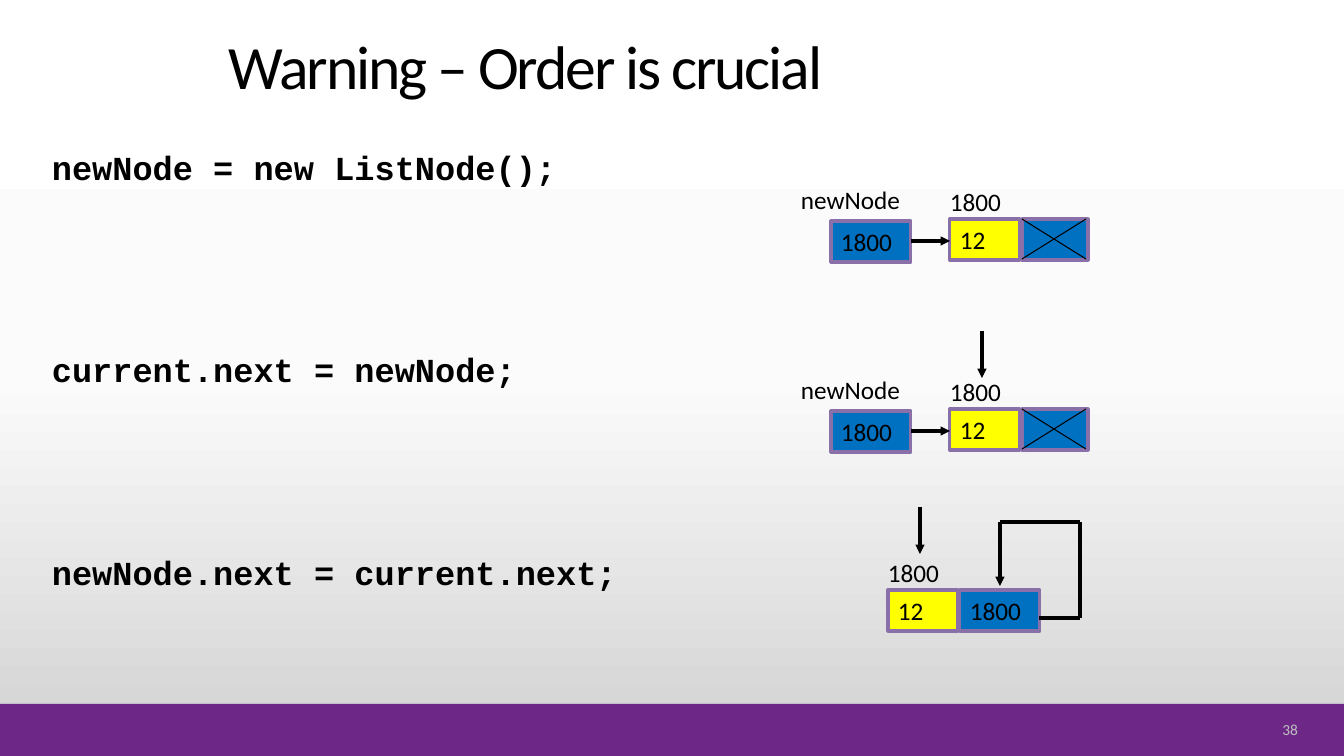
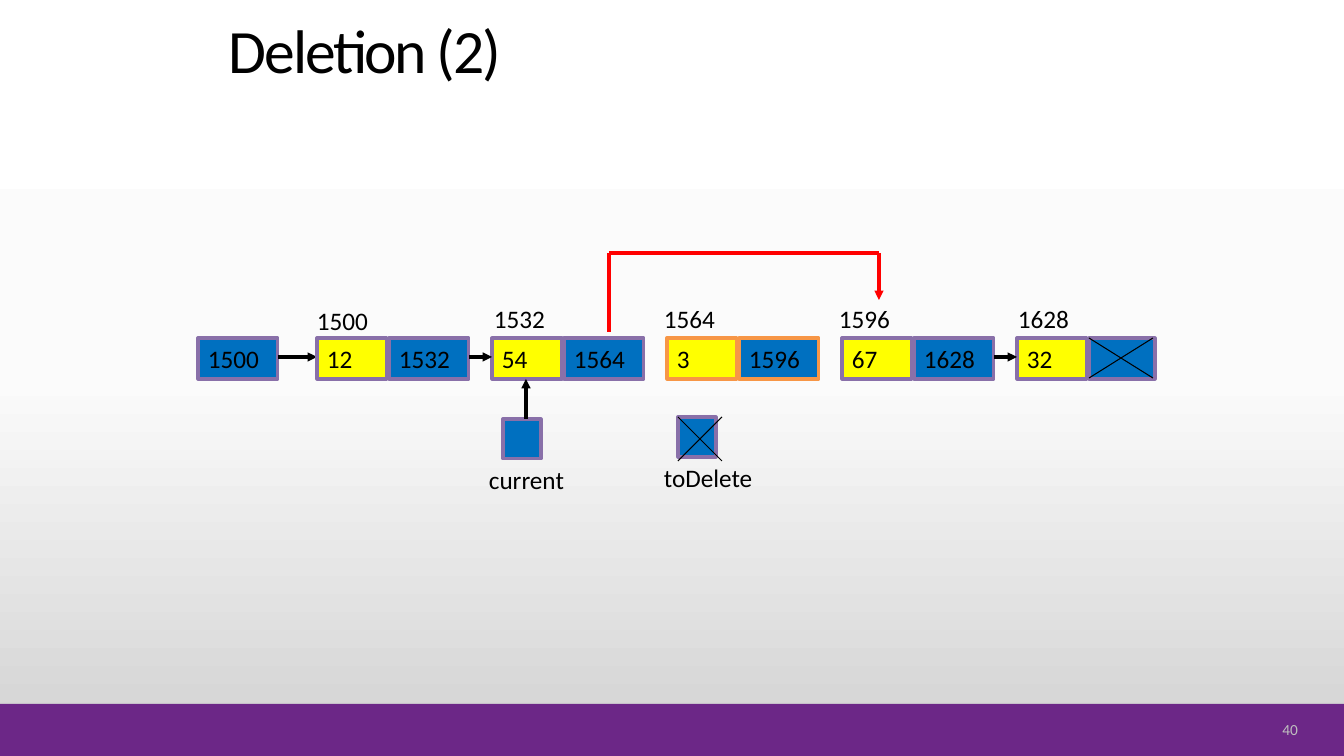
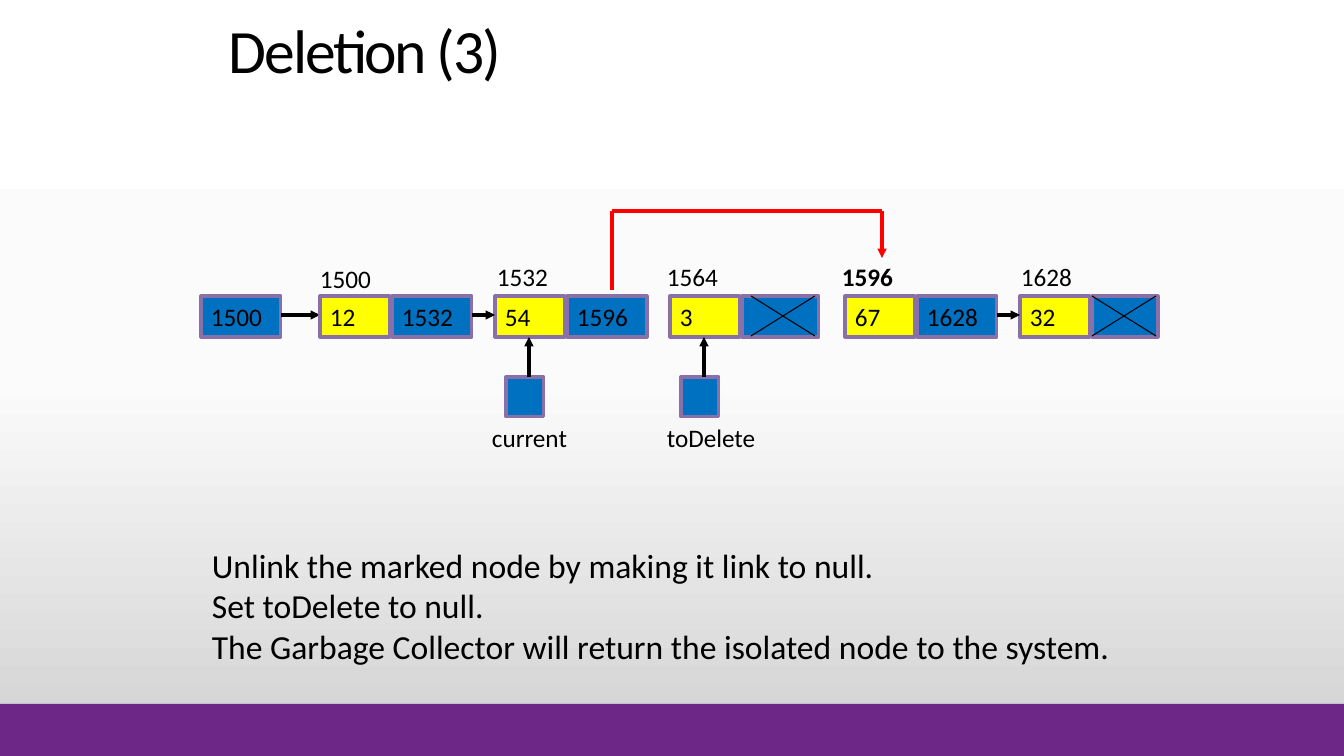
import dataclasses
import itertools
from typing import Optional

import pptx
import pptx.dml.color
import pptx.enum.shapes
import pptx.enum.text
import pptx.oxml
import pptx.oxml.ns
import pptx.util

SHAPE = pptx.enum.shapes.MSO_SHAPE
ANCHOR = pptx.enum.text.MSO_ANCHOR
ALIGN = pptx.enum.text.PP_ALIGN
PX = 914400 / 100.8


@dataclasses.dataclass(frozen=True)
class Theme:
    band: str = "6C2787"
    ink: str = "000000"
    page_ink: str = "BFBFBF"
    data: str = "FFFF00"
    link: str = "0070C0"
    edge: str = "8970A9"
    marked_edge: str = "F79646"
    relink: str = "FF0000"
    background: tuple = ((0, "FFFFFF"), (50, "FBFBFB"), (100, "D1D1D1"))
    font: str = "Calibri"
    code_font: str = "Courier New"
    title_size: int = 44
    body_size: int = 24
    cell_size: int = 18
    page_size: int = 11
    thick: float = 2.25
    thin: float = 0.75


THEME = Theme()


@dataclasses.dataclass(frozen=True)
class Node:
    """A list node; no link means null, drawn as a cross."""
    address: str
    value: str
    link: Optional[str] = None
    label_dx: int = -10
    label_dy: int = -38
    edge: str = THEME.edge
    bold: bool = False
    link_width: int = 80
    cross_dx: int = 0


LINK_DX = 72
CELL_HEIGHT = 41
NULL_WIDTH = 66


def px(*lengths):
    return [pptx.util.Emu(round(length * PX)) for length in lengths]


def rgb(value):
    return pptx.dml.color.RGBColor.from_string(value)


def write(frame, text, size, font=THEME.font, color=THEME.ink, bold=False,
          align=ALIGN.LEFT, anchor=ANCHOR.TOP):
    frame.text = text
    frame.word_wrap = True
    frame.vertical_anchor = anchor
    for paragraph in frame.paragraphs:
        paragraph.alignment = align
        for run in paragraph.runs:
            run.font.name = font
            run.font.size = pptx.util.Pt(size)
            run.font.bold = bold
            run.font.color.rgb = rgb(color)


def add_text(slide, box, text, size, **style):
    frame = slide.shapes.add_textbox(*px(*box)).text_frame
    write(frame, text, size, **style)
    return frame


def add_rect(slide, box, fill, edge=None):
    rect = slide.shapes.add_shape(SHAPE.RECTANGLE, *px(*box))
    rect.shadow.inherit = False
    rect.fill.solid()
    rect.fill.fore_color.rgb = rgb(fill)
    if edge:
        rect.line.color.rgb = rgb(edge)
        rect.line.width = pptx.util.Pt(THEME.thick)
    else:
        rect.line.fill.background()
    return rect


def add_cell(slide, box, fill, text=None, edge=THEME.edge):
    cell = add_rect(slide, box, fill, edge)
    if text:
        write(cell.text_frame, text, THEME.cell_size)


def add_line(slide, start, end, color=THEME.ink, width=THEME.thick, arrow=False):
    line = slide.shapes.add_connector(
        pptx.enum.shapes.MSO_CONNECTOR.STRAIGHT, *px(*start, *end))
    line.line.color.rgb = rgb(color)
    line.line.width = pptx.util.Pt(width)
    properties = line.element.spPr
    if arrow:
        tail = pptx.oxml.parse_xml(
            '<a:tailEnd %s type="triangle"/>' % pptx.oxml.ns.nsdecls("a"))
        properties.find(pptx.oxml.ns.qn("a:ln")).append(tail)
    properties.append(pptx.oxml.parse_xml(
        "<a:effectLst %s/>" % pptx.oxml.ns.nsdecls("a")))


def add_route(slide, points, color=THEME.ink):
    """Straight legs through the points, with an arrowhead at the last."""
    for start, end in itertools.pairwise(points):
        add_line(slide, start, end, color, arrow=end == points[-1])


def add_cross(slide, x, y, width, height):
    for top, bottom in ((y, y + height), (y + height, y)):
        add_line(slide, (x, top), (x + width, bottom), width=THEME.thin)


def add_node(slide, x, y, node):
    add_cell(slide, (x, y, 70, CELL_HEIGHT), THEME.data, node.value, node.edge)
    link_x = x + LINK_DX
    add_cell(slide, (link_x, y, node.link_width, CELL_HEIGHT), THEME.link,
             node.link, node.edge)
    if node.link is None:
        add_cross(slide, link_x + node.cross_dx, y, 64, 40)
    add_text(slide, (x + node.label_dx, y + node.label_dy, 74, CELL_HEIGHT),
             node.address, THEME.cell_size, bold=node.bold)


def add_new_node(slide, x, y):
    """The newNode variable with its arrow to a fresh node."""
    add_text(slide, (x - 40, y - 42, 121, CELL_HEIGHT), "newNode", THEME.cell_size)
    add_cell(slide, (x, y, 80, CELL_HEIGHT), THEME.link, "1800")
    add_node(slide, x + 119, y - 2, Node("1800", "12", link_width=NULL_WIDTH))
    add_line(slide, (x + 80, y + 20), (x + 119, y + 20), arrow=True)


def add_pointer(slide, x, y, name, crossed=False):
    """A variable box below the node at x, y."""
    add_cell(slide, (x + 11, y + 81, 38, 40), THEME.link)
    add_text(slide, (x - 13, y + 121, 110, CELL_HEIGHT), name, THEME.cell_size)
    if crossed:
        add_cross(slide, x + 11, y + 81, 44, 44)
    else:
        add_line(slide, (x + 34, y + 81), (x + 34, y + 41), arrow=True)


def add_deletion_list(slide, x, y, nodes, delete_crossed):
    add_cell(slide, (x, y, 80, CELL_HEIGHT), THEME.link, "1500")
    add_line(slide, (x + 80, y + 19), (x + 119, y + 19), arrow=True)
    starts = [x + 119 + 175 * index for index in range(len(nodes))]
    for start, node in zip(starts, nodes):
        add_node(slide, start, y, node)
    for index in (0, 3):
        add_line(slide, (starts[index] + 152, y + 19),
                 (starts[index + 1], y + 19), arrow=True)
    add_route(slide, [(x + 411, y - 6), (x + 411, y - 85),
                      (x + 681, y - 85), (x + 681, y - 38)], THEME.relink)
    add_pointer(slide, starts[1], y, "current")
    add_pointer(slide, starts[2], y - 2 * delete_crossed, "toDelete", delete_crossed)


def set_background(master):
    fill = master.background.fill
    fill.gradient()
    fill.gradient_angle = 270
    stops = master.element.find(".//" + pptx.oxml.ns.qn("p:bgPr")).find(
        ".//" + pptx.oxml.ns.qn("a:gsLst"))
    for stop in list(stops):
        stops.remove(stop)
    for position, color in THEME.background:
        stops.append(pptx.oxml.parse_xml(
            '<a:gs %s pos="%d"><a:srgbClr val="%s"/></a:gs>'
            % (pptx.oxml.ns.nsdecls("a"), position * 1000, color)))


def add_base(deck, title, title_height=79, page=None):
    slide = deck.slides.add_slide(deck.slide_layouts[6])
    add_rect(slide, (0, 704, 1344, 52), THEME.band)
    heading = add_text(slide, (219, 13, 832, title_height), title,
                       THEME.title_size, anchor=ANCHOR.BOTTOM).paragraphs[0]
    heading.line_spacing = 0.9
    heading.runs[0].font._element.set("spc", "-150")
    if page:
        add_text(slide, (1233, 718, 75, 23), page, THEME.page_size,
                 color=THEME.page_ink, align=ALIGN.RIGHT, anchor=ANCHOR.MIDDLE)
    return slide


def build_order_slide(deck):
    slide = add_base(deck, "Warning – Order is crucial", 95, "38")
    steps = ["newNode = new ListNode();", "current.next = newNode;",
             "newNode.next = current.next;"]
    code = add_text(slide, (42, 146, 700, 535), "\n".join(steps),
                    THEME.body_size, font=THEME.code_font, bold=True)
    for index, paragraph in enumerate(code.paragraphs):
        paragraph.line_spacing = 0.9
        if index:
            paragraph.space_before = pptx.util.Pt(119)
    for y in (221, 411):
        add_new_node(slide, 831, y)
    add_line(slide, (982, 331), (982, 378), arrow=True)
    add_node(slide, 888, 590, Node("1800", "12", "1800"))
    add_line(slide, (920, 507), (920, 554), arrow=True)
    add_route(slide, [(1039, 618), (1080, 618), (1080, 522),
                      (1000, 522), (1000, 586)])


def build_deletion_slides(deck):
    first = Node("1500", "12", "1532")
    second = Node("1532", "54", "1564", -8, -40)
    third = Node("1564", "3", "1596", -13, -40, THEME.marked_edge)
    fourth = Node("1596", "67", "1628", -13, -40)
    last = Node("1628", "32", None, -9, -40, link_width=NULL_WIDTH)

    relinking = add_base(deck, "Deletion (2)", page="40")
    add_deletion_list(relinking, 198, 338, [first, second, third, fourth, last], True)

    unlinking = add_base(deck, "Deletion (3)")
    second = dataclasses.replace(second, link="1596")
    third = dataclasses.replace(third, link=None, edge=THEME.edge,
                                link_width=77, cross_dx=9)
    fourth = dataclasses.replace(fourth, bold=True)
    add_deletion_list(unlinking, 201, 296, [first, second, third, fourth, last], False)
    remarks = ["Unlink the marked node by making it link to null.",
               "Set toDelete to null.",
               "The Garbage Collector will return the isolated node to the system."]
    add_text(unlinking, (202, 540, 953, 132), "\n".join(remarks), THEME.body_size)


def main():
    deck = pptx.Presentation()
    deck.slide_width, deck.slide_height = px(1344, 756)
    set_background(deck.slide_master)
    build_order_slide(deck)
    build_deletion_slides(deck)
    deck.save("out.pptx")


if __name__ == "__main__":
    main()
